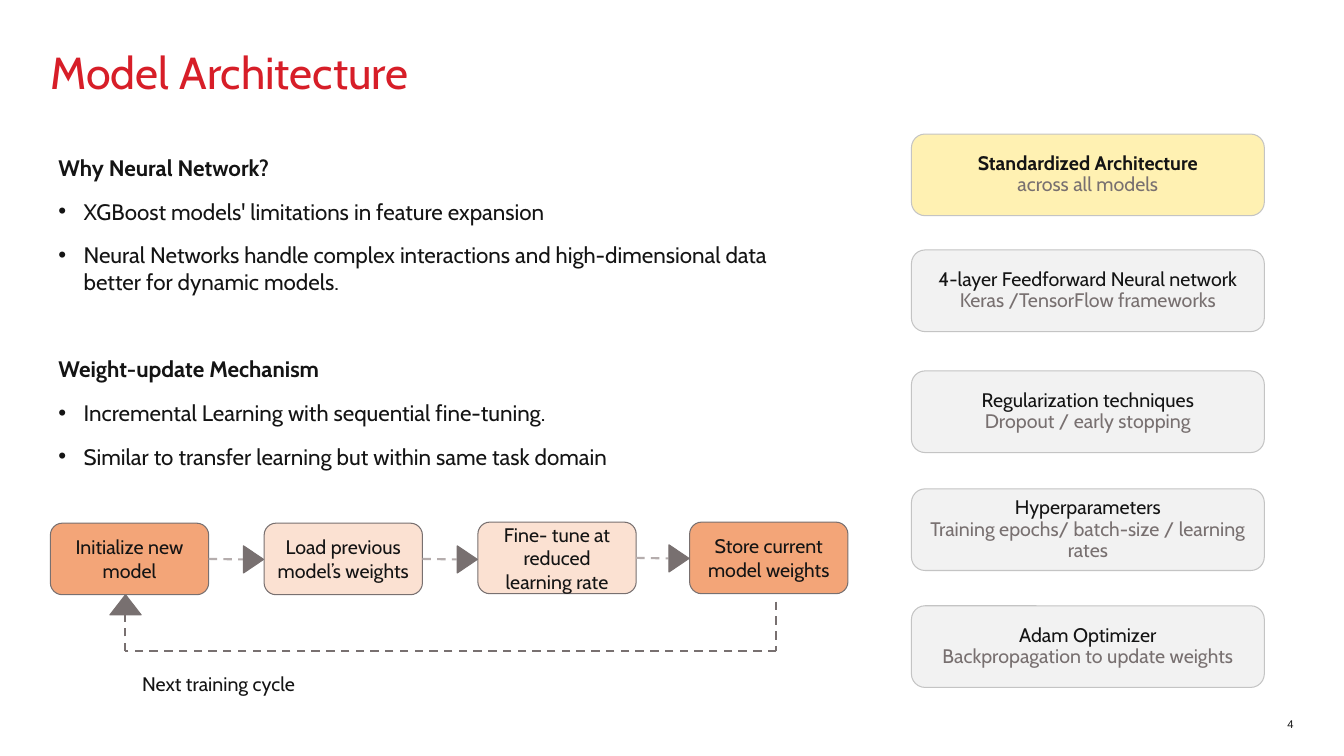
from itertools import pairwise

from pptx import Presentation
from pptx.dml.color import RGBColor
from pptx.enum.dml import MSO_LINE as Dash
from pptx.enum.shapes import MSO_CONNECTOR as Conn, MSO_SHAPE as Shape
from pptx.enum.text import MSO_ANCHOR as Anchor, MSO_AUTO_SIZE as Fit, PP_ALIGN as Align
from pptx.oxml.ns import qn
from pptx.util import Pt
from lxml.etree import SubElement

INK, GRAY, PALE = "141414", "787070", "B5ADAD"
RED, EDGE = "D71E28", "C4C4C4"
GOLD, FOG, CLAY, PEACH = "FFF1B2", "F2F2F2", "F3A578", "FBE1D2"


def px(n):
    """100 px to the inch."""
    return n * 9144


def color(code):
    return RGBColor.from_string(code)


def write(para, text, size=14, ink=INK, bold=False, font="Cabin",
          align=Align.LEFT, lead=1.0, gap=0):
    para.alignment, para.line_spacing = align, lead
    para.space_before = Pt(gap)
    run = para.add_run()
    run.text = text
    run.font.size, run.font.bold, run.font.name = Pt(size), bold, font
    run.font.color.rgb = color(ink)


def bullet(para, char=None):
    """Give a hanging bullet, or none at all."""
    props = para._p.get_or_add_pPr()
    step = px(25) if char else 0
    props.set("marL", str(step))
    props.set("indent", str(-step))
    if char:
        SubElement(props, qn("a:buFont")).set("typeface", "Arial")
        SubElement(props, qn("a:buChar")).set("char", char)
    else:
        SubElement(props, qn("a:buNone"))


class Page:
    def __init__(self, slide):
        self.slide, self.shapes = slide, slide.shapes

    def frame(self, shape, anchor=Anchor.TOP, wrap=True):
        frame = shape.text_frame
        frame.auto_size, frame.word_wrap = Fit.NONE, wrap
        frame.vertical_anchor = anchor
        frame.margin_left = frame.margin_right = 0
        frame.margin_top = frame.margin_bottom = 0
        return frame

    def holder(self, index, x, y, w, h):
        shape = self.slide.placeholders[index]
        shape.left, shape.top, shape.width, shape.height = map(px, (x, y, w, h))
        return self.frame(shape)

    def label(self, text, x, y, w, h, anchor=Anchor.TOP, wrap=True, **style):
        shape = self.shapes.add_textbox(*map(px, (x, y, w, h)))
        write(self.frame(shape, anchor, wrap).paragraphs[0], text, **style)

    def shape(self, kind, x, y, w, h, fill, line=GRAY):
        shape = self.shapes.add_shape(kind, *map(px, (x, y, w, h)))
        shape.shadow.inherit = False
        shape.fill.solid()
        shape.fill.fore_color.rgb = color(fill)
        shape.line.color.rgb, shape.line.width = color(line), Pt(0.75)
        return shape

    def box(self, lines, x, y, w, h, fill, line=GRAY, lead=1.0):
        """Rounded box; lines is a list of (text, format) pairs."""
        shape = self.shape(Shape.ROUNDED_RECTANGLE, x, y, w, h, fill, line)
        frame = shape.text_frame
        frame.word_wrap, frame.vertical_anchor = True, Anchor.MIDDLE
        for i, (text, style) in enumerate(lines):
            para = frame.add_paragraph() if i else frame.paragraphs[0]
            write(para, text, align=Align.CENTER, lead=lead, **style)
        return shape

    def dash(self, start, end, ink=GRAY):
        line = self.shapes.add_connector(Conn.STRAIGHT, *map(px, start + end))
        line.line.color.rgb, line.line.width = color(ink), Pt(1.5)
        line.line.dash_style = Dash.DASH
        SubElement(line._element.spPr, qn("a:effectLst"))
        return line


def main():
    deck = Presentation()
    deck.slide_width, deck.slide_height = px(1333), px(750)
    page = Page(deck.slides.add_slide(deck.slide_layouts[1]))

    # Title
    title = page.holder(0, 50, 50, 1233, 100)
    write(title.paragraphs[0], "Model Architecture", size=32, ink=RED, lead=0.9)

    # Body: two headed lists
    parts = {
        "Why Neural Network?": [
            "XGBoost models' limitations in feature expansion",
            "Neural Networks handle complex interactions and high-dimensional "
            "data better for dynamic models."],
        "Weight-update Mechanism": [
            "Incremental Learning with sequential fine-tuning.",
            "Similar to transfer learning but within same task domain"],
    }
    body = page.holder(1, 58, 153, 730, 427)
    for i, (head, items) in enumerate(parts.items()):
        para = body.add_paragraph() if i else body.paragraphs[0]
        write(para, head, size=16, bold=True, gap=43 if i else 12)
        bullet(para)
        for item in items:
            para = body.add_paragraph()
            write(para, item, size=16, gap=12)
            bullet(para, "•")

    # Slide number
    page.label("4", 1233, 700, 50, 25, anchor=Anchor.BOTTOM,
               size=8, font="Arial", align=Align.RIGHT)

    # Cards on the right
    cards = [
        (133, "Standardized Architecture", "across all models"),
        (248, "4-layer Feedforward Neural network", "Keras /TensorFlow frameworks"),
        (368, "Regularization techniques", "Dropout / early stopping"),
        (485, "Hyperparameters", "Training epochs/ batch-size / learning rates"),
        (601, "Adam Optimizer", "Backpropagation to update weights"),
    ]
    for i, (y, head, note) in enumerate(cards):
        lines = [(head, {"bold": i == 0}), (note, {"ink": GRAY})]
        page.box(lines, 904, y, 350, 81, FOG if i else GOLD, EDGE, lead=0.9)

    # Return loop
    page.label("Next training cycle", 141, 667, 142, 26, wrap=False, gap=12)
    loop = [(770, 597), (770, 646), (124, 646), (124, 610)]
    for start, end in pairwise(loop):
        page.dash(start, end)
    page.shape(Shape.ISOSCELES_TRIANGLE, 109, 590, 31, 20, GRAY)

    # Training steps
    steps = [
        (50, 519, CLAY, "Initialize new model"),
        (262, 519, PEACH, "Load previous model’s weights"),
        (474, 518, PEACH, "Fine- tune at reduced learning rate"),
        (684, 518, CLAY, "Store current model weights"),
    ]
    boxes = [page.box([(text, {})], x, y, 157, 71, fill)
             for x, y, fill, text in steps]

    # Arrows between steps
    for box, (here, there) in zip(boxes, pairwise(steps)):
        mid, tip = here[1] + 36, there[0]
        line = page.dash((here[0] + 157, mid), (tip - 21, mid), PALE)
        line.begin_connect(box, 3)
        head = page.shape(Shape.ISOSCELES_TRIANGLE, tip - 24, mid - 10, 27, 20, GRAY)
        head.rotation = 90

    deck.save("out.pptx")


if __name__ == "__main__":
    main()
